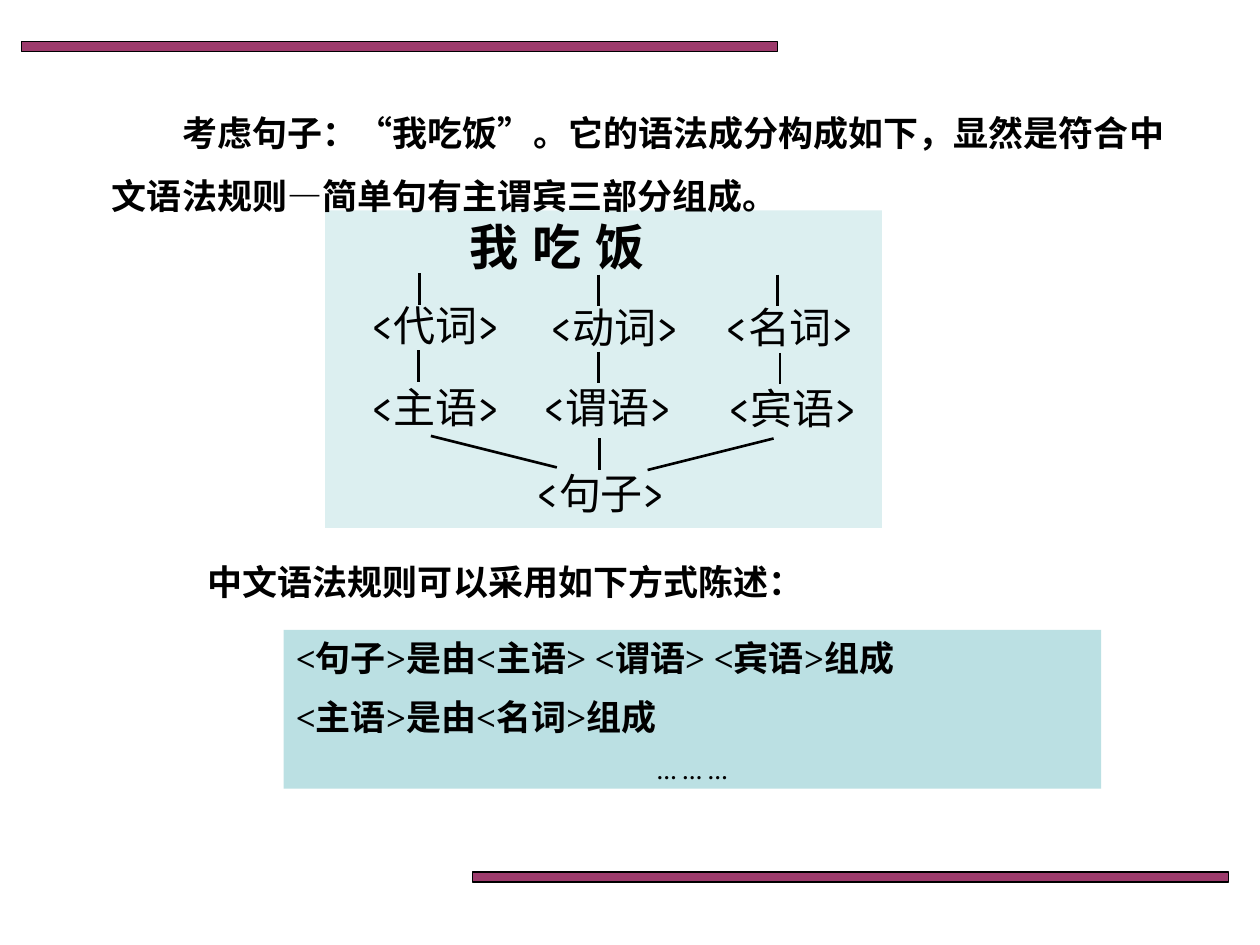
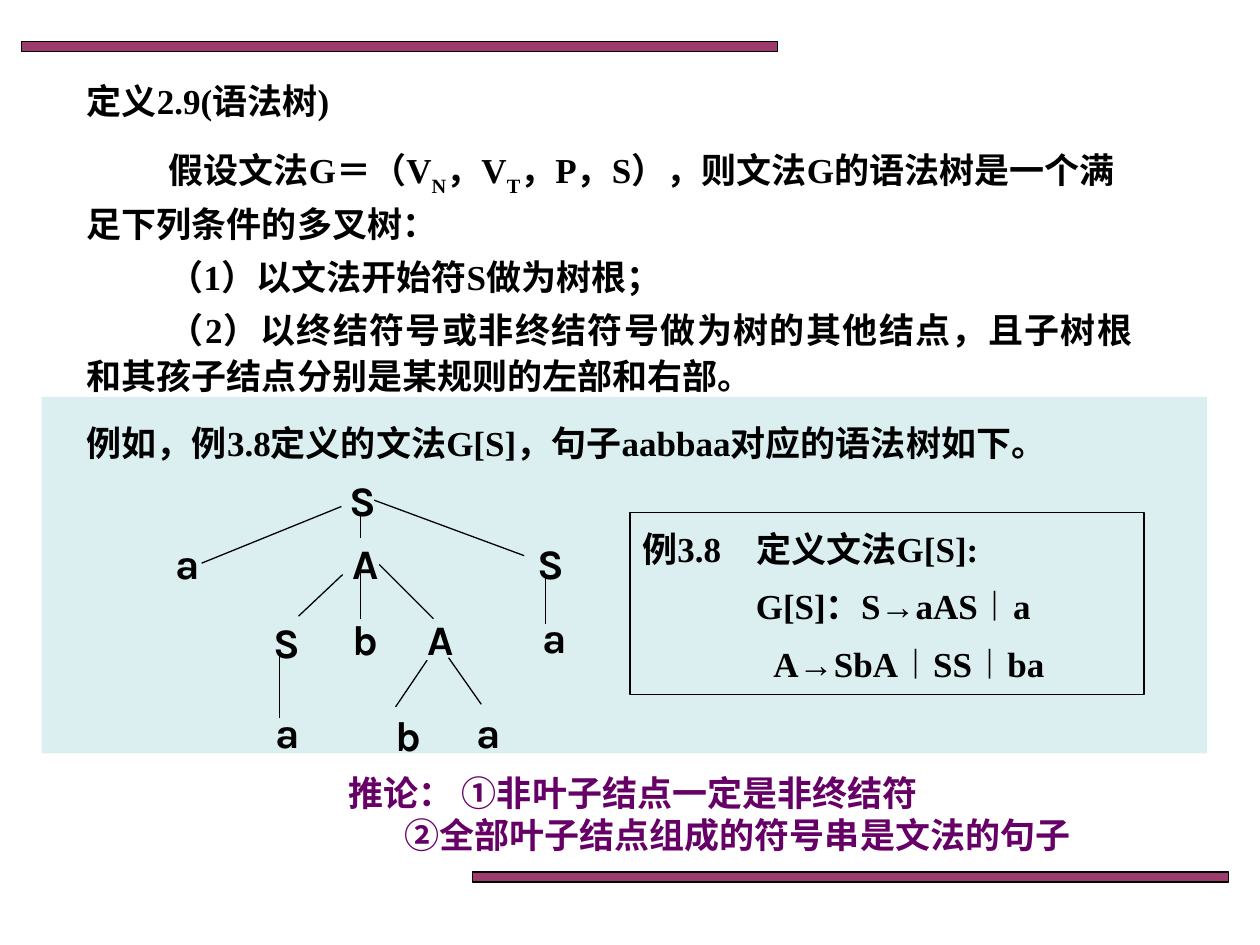
from lxml.etree import SubElement
from pptx import Presentation
from pptx.dml.color import RGBColor
from pptx.enum.shapes import MSO_CONNECTOR, MSO_SHAPE
from pptx.enum.text import MSO_ANCHOR, PP_ALIGN
from pptx.oxml.ns import qn
from pptx.util import Inches, Pt

SERIF = "Times New Roman"
SANS = "Noto Sans CJK SC"
LABEL = "Karla"
BLACK = "000000"
PLUM = "993366"
PURPLE = "660066"
AQUA = "BBE0E3"


def rectangle(page, place, fill=None, opacity=100, line=None):
    box = page.shapes.add_shape(MSO_SHAPE.RECTANGLE, *map(Inches, place))
    box.shadow.inherit = False
    if fill:
        box.fill.solid()
        box.fill.fore_color.rgb = RGBColor.from_string(fill)
        if opacity < 100:
            color = box.fill._xPr.find(qn("a:solidFill"))[0]
            SubElement(color, qn("a:alpha"), val=str(opacity * 1000))
    else:
        box.fill.background()
    if line:
        box.line.color.rgb = RGBColor.from_string(line)
        box.line.width = Pt(0.75)
    else:
        box.line.fill.background()
    return box


def write(text, page=None, place=None, box=None, font=SERIF, size=20, bold=True,
          color=BLACK, align=PP_ALIGN.LEFT, anchor=MSO_ANCHOR.TOP, before=0,
          spacing=1, indent=0, tabs=(), raised=False):
    box = box or page.shapes.add_textbox(*map(Inches, place))
    frame = box.text_frame
    frame.word_wrap = True
    frame.vertical_anchor = anchor
    para = frame.add_paragraph() if frame.text else frame.paragraphs[0]
    para.alignment = align
    para.line_spacing = spacing
    para.space_before = Pt(before)
    properties = para._p.get_or_add_pPr()
    properties.set("indent", str(Inches(indent)))
    if tabs:
        stops = SubElement(properties, qn("a:tabLst"))
        for stop in tabs:
            SubElement(stops, qn("a:tab"), pos=str(Inches(stop)), algn="l")
    for index, piece in enumerate(text.split("_")):
        span = para.add_run()
        span.text = piece
        span.font.name = font
        span.font.size = Pt(size)
        span.font.bold = bold
        span.font.color.rgb = RGBColor.from_string(color)
        if index % 2:
            span.font._element.set("baseline", "-30000")
        elif raised:
            span.font._element.set("baseline", "30000")
    return box


deck = Presentation()
deck.slide_width = Inches(10)
deck.slide_height = Inches(7.5)
sentence_page, tree_page = [deck.slides.add_slide(deck.slide_layouts[6]) for _ in range(2)]

for page in (sentence_page, tree_page):
    for left, top in ((0.17, 0.33), (3.75, 6.92)):
        rectangle(page, (left, top, 6, 0.08), PLUM, 96, BLACK)

rectangle(sentence_page, (2.58, 1.67, 4.42, 2.52), AQUA, 50)
write("考虑句子：“我吃饭”。它的语法成分构成如下，显然是符合中文语法规则—简单句有主谓宾三部分组成。",
      sentence_page, (0.79, 0.67, 8.55, 1.11), spacing=1.5, indent=0.56)
write("我\t吃\t饭", sentence_page, (3.63, 1.67, 2.6, 0.57), font=SANS, size=28,
      tabs=(0.83, 1.66))

grammar_labels = [
    ("代词", 2.75, 2.33), ("动词", 4.17, 2.34), ("名词", 5.56, 2.34),
    ("主语", 2.75, 2.98), ("谓语", 4.11, 2.98), ("宾语", 5.58, 2.99),
    ("句子", 4.06, 3.66),
]
for label, left, top in grammar_labels:
    write(f"<{label}>", sentence_page, (left, top, 1.42, 0.5), font=LABEL, size=24,
          bold=False, align=PP_ALIGN.CENTER)

rules = rectangle(sentence_page, (2.25, 5, 6.49, 1.26), AQUA)
write("<句子>是由<主语> <谓语> <宾语>组成", box=rules)
write("<主语>是由<名词>组成", box=rules, before=10)
write("… … …", box=rules, before=10, align=PP_ALIGN.CENTER, raised=True)
write("中文语法规则可以采用如下方式陈述：", sentence_page, (1.55, 4.4, 6.54, 0.43))

rectangle(tree_page, (0.33, 3.15, 9.25, 2.83), AQUA, 50)
conditions = write("假设文法G＝（V_N_，V_T_，P，S），则文法G的语法树是一个满足下列条件的多叉树：",
                   tree_page, (0.59, 1.09, 8.5, 2.06), spacing=1.1, indent=0.65)
write("（1）以文法开始符S做为树根；", box=conditions, spacing=1.1, before=4, indent=0.65)
write("（2）以终结符号或非终结符号做为树的其他结点，且子树根和其孩子结点分别是某规则的左部和右部。",
      box=conditions, spacing=1.1, before=4, indent=0.65, align=PP_ALIGN.JUSTIFY)
write("定义2.9(语法树)", tree_page, (0.59, 0.58, 2.92, 0.43))

tree_nodes = [
    ("S", 2.54, 3.69),
    ("a", 1.15, 4.19), ("A", 2.56, 4.19), ("S", 4.03, 4.19),
    ("S", 1.94, 4.81), ("b", 2.56, 4.79), ("A", 3.16, 4.79), ("a", 4.06, 4.77),
    ("a", 1.94, 5.53), ("b", 2.9, 5.55), ("a", 3.54, 5.53),
]
for symbol, left, top in tree_nodes:
    write(symbol, tree_page, (left, top, 0.68, 0.56), font=LABEL, size=24,
          align=PP_ALIGN.CENTER, anchor=MSO_ANCHOR.MIDDLE)

word_links = [
    (x, y, x, y + 0.25) for x, y in (
        (3.33, 2.17), (4.75, 2.18), (6.17, 2.18),
        (3.32, 2.78), (4.75, 2.79), (6.19, 2.8), (4.76, 3.48),
    )
] + [(3.42, 3.46, 4.42, 3.71), (6.14, 3.48, 5.14, 3.73)]
tree_branches = [
    (2.86, 4.08, 2.86, 4.27), (2.71, 4.02, 1.6, 4.47), (2.97, 3.97, 4.16, 4.41),
    (2.72, 4.56, 2.37, 4.89), (2.86, 4.54, 2.86, 4.91), (3.01, 4.48, 3.44, 4.91),
    (4.33, 4.58, 4.33, 4.95), (2.22, 5.21, 2.22, 5.7),
    (3.39, 5.24, 3.14, 5.61), (3.56, 5.22, 3.82, 5.59),
]
for page, width, links in ((sentence_page, 1.5, word_links), (tree_page, 0.75, tree_branches)):
    for ends in links:
        link = page.shapes.add_connector(MSO_CONNECTOR.STRAIGHT, *map(Inches, ends))
        link.line.color.rgb = RGBColor.from_string(BLACK)
        link.line.width = Pt(width)
        SubElement(link._element.spPr, qn("a:effectLst"))

write("例如，例3.8定义的文法G[S]，句子aabbaa对应的语法树如下。",
      tree_page, (0.59, 3.3, 8.08, 0.43))
corollary = write("推论： ①非叶子结点一定是非终结符", tree_page, (2.67, 6.07, 6.58, 0.77),
                  font=SANS, color=PURPLE)
write("②全部叶子结点组成的符号串是文法的句子", box=corollary, font=SANS, color=PURPLE,
      indent=0.44)

grammar = rectangle(tree_page, (5, 4.07, 4.08, 1.44), line=BLACK)
write("例3.8\u3000定义文法G[S]:".replace("\u3000", "　"), box=grammar, spacing=1.2)
for production, indent in (("G[S]：S→aAS︱a", 0.9), ("A→SbA︱SS︱ba", 1.04)):
    write(production, box=grammar, spacing=1.2, before=4, indent=indent,
          align=PP_ALIGN.JUSTIFY)

deck.save("out.pptx")
